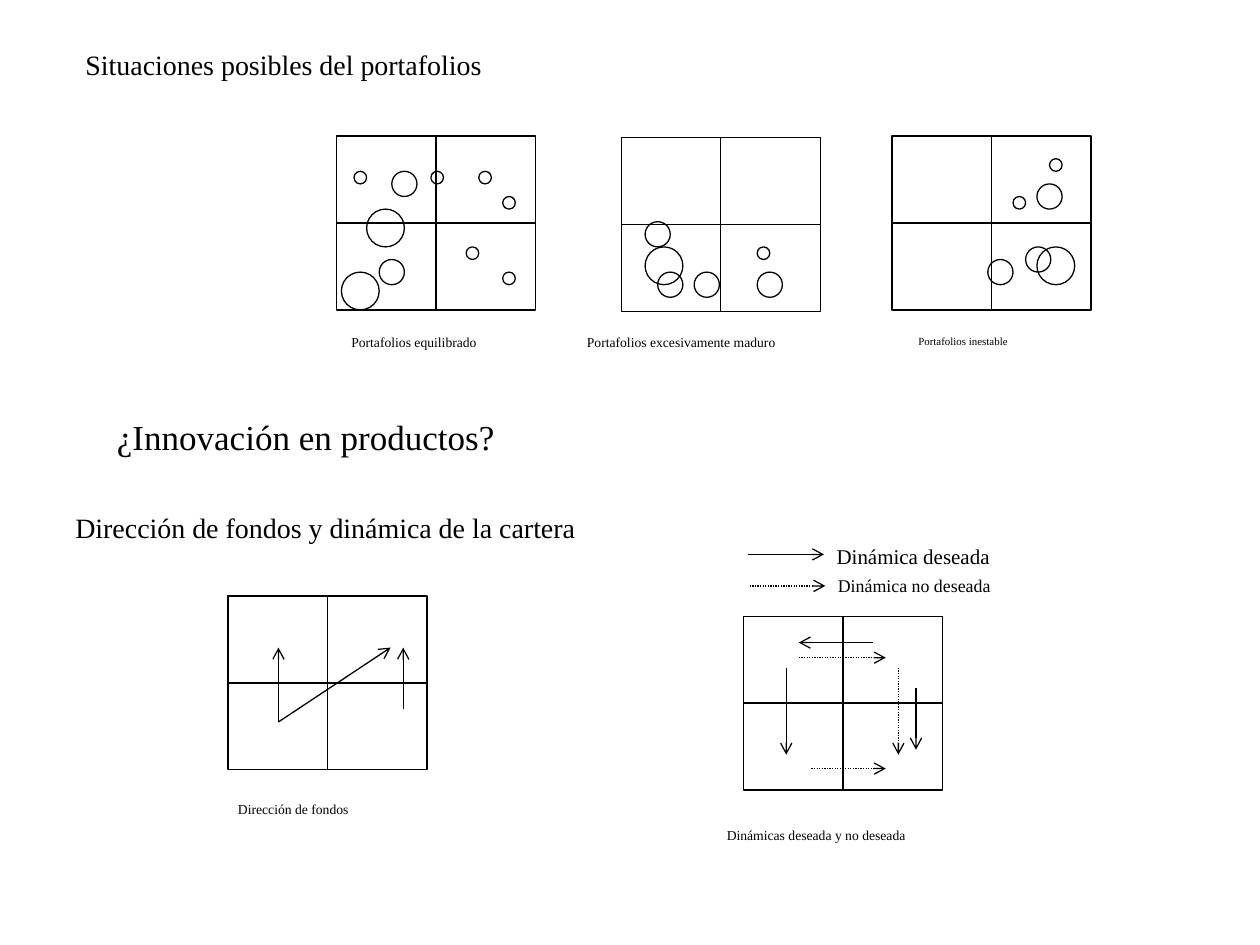
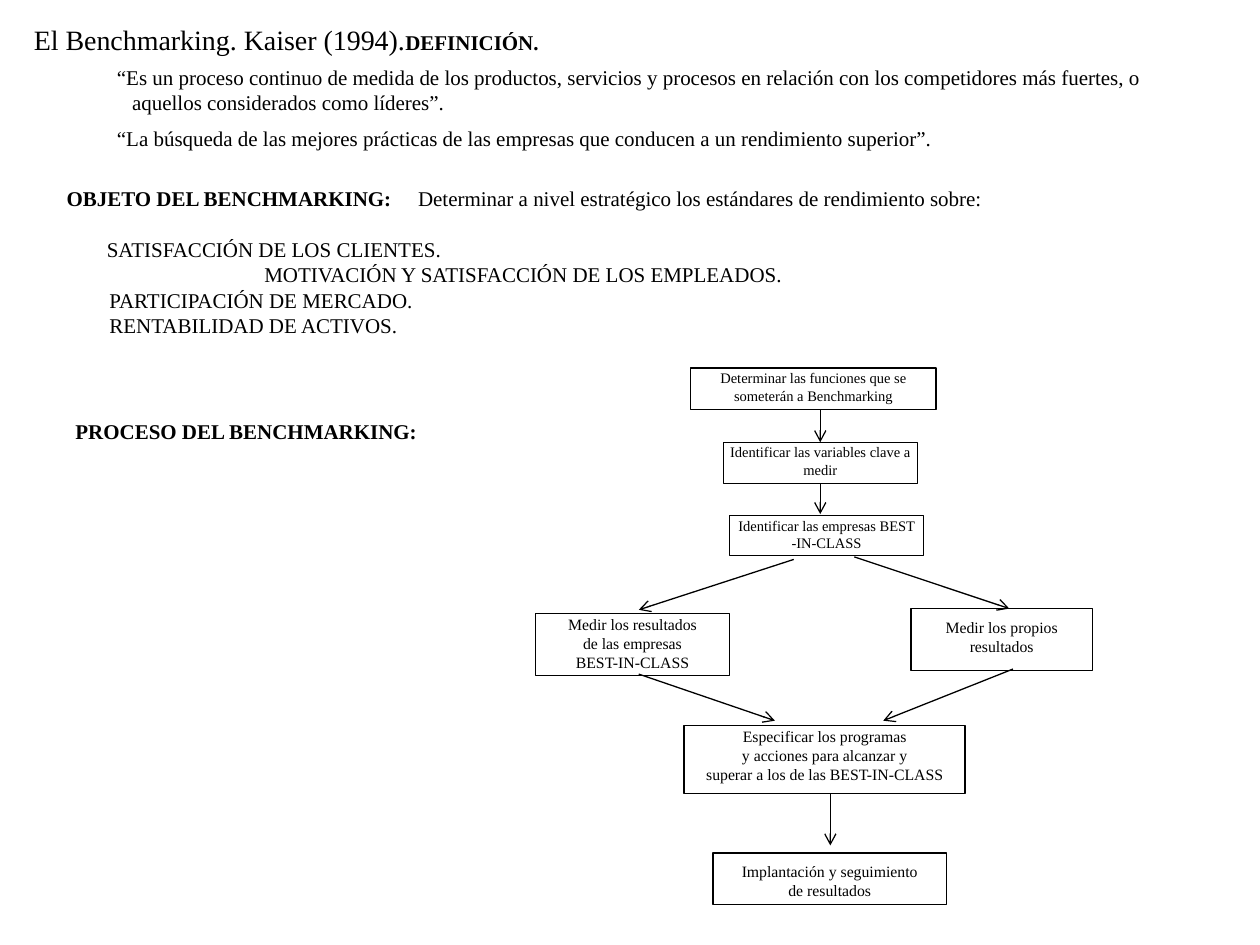
from dataclasses import dataclass
from typing import Optional

from lxml.etree import SubElement
from pptx import Presentation
from pptx.dml.color import RGBColor
from pptx.enum.dml import MSO_LINE
from pptx.enum.shapes import MSO_CONNECTOR, MSO_SHAPE
from pptx.enum.text import MSO_ANCHOR, PP_ALIGN
from pptx.oxml.ns import qn
from pptx.util import Inches, Pt

COLORS = {"ink": "000000", "paper": "FFFFFF"}
FONT = "Times New Roman"
LINE_WIDTH = Pt(0.75)
MATRIX_WIDTH, MATRIX_HEIGHT = 1.58, 1.38
TOP, LEFT, BOTTOM, RIGHT = range(4)
TITLE_SIZE, BODY_SIZE, CAPTION_SIZE = 16, 12, 7.8


@dataclass
class Run:
    text: str
    size: float = BODY_SIZE
    bold: bool = False


@dataclass
class Line:
    runs: list[Run]
    margin: float = 0
    space_before: float = 0
    spacing: Optional[float] = None
    tab: Optional[float] = None


@dataclass
class Label:
    left: float
    top: float
    width: float
    height: float
    lines: list[Line]
    inset_x: float = 0.1
    inset_y: float = 0.05


@dataclass
class Bubble:
    left: float
    top: float
    size: float


@dataclass
class Arrow:
    start: tuple[float, float]
    end: tuple[float, float]
    dotted: bool = False


@dataclass
class Matrix:
    left: float
    top: float
    bubbles: list[Bubble]
    arrows: list[Arrow]


@dataclass
class Step:
    left: float
    top: float
    width: float
    height: float
    texts: list[str]
    size: float = 9
    inset_top: float = 0.01


def color(name: str) -> RGBColor:
    return RGBColor.from_string(COLORS[name])


def simple(text: str, size: float = BODY_SIZE, bold: bool = False, **layout) -> Line:
    return Line([Run(text, size, bold)], **layout)


def caption(left: float, top: float, width: float, text: str, size: float = CAPTION_SIZE) -> Label:
    return Label(left, top, width, 0.3, [simple(text, size, spacing=0.8)])


def legend(left: float, top: float, text: str, size: float) -> Label:
    return Label(left, top, 2.2, 0.25, [simple(text, size)], 0.01, 0.01)


def write_lines(text_frame, lines: list[Line], align=PP_ALIGN.LEFT) -> None:
    text_frame.word_wrap = True
    text_frame.vertical_anchor = MSO_ANCHOR.TOP
    for index, line in enumerate(lines):
        paragraph = text_frame.add_paragraph() if index else text_frame.paragraphs[0]
        paragraph.alignment = align
        if line.spacing:
            paragraph.line_spacing = line.spacing
        if line.space_before:
            paragraph.space_before = Pt(line.space_before)
        properties = paragraph._p.get_or_add_pPr()
        if line.margin:
            properties.set("marL", str(Inches(line.margin)))
        if line.tab:
            tabs = SubElement(properties, qn("a:tabLst"))
            SubElement(tabs, qn("a:tab"), pos=str(Inches(line.tab)), algn="l")
        for item in line.runs:
            run = paragraph.add_run()
            run.text = item.text
            run.font.name = FONT
            run.font.size = Pt(item.size)
            run.font.bold = item.bold
            run.font.color.rgb = color("ink")


def set_insets(text_frame, horizontal: float, top: float, bottom: float) -> None:
    text_frame.margin_left = text_frame.margin_right = Inches(horizontal)
    text_frame.margin_top, text_frame.margin_bottom = Inches(top), Inches(bottom)


def draw_label(slide, label: Label) -> None:
    box = slide.shapes.add_textbox(
        Inches(label.left), Inches(label.top), Inches(label.width), Inches(label.height))
    set_insets(box.text_frame, label.inset_x, label.inset_y, label.inset_y)
    write_lines(box.text_frame, label.lines)


def draw_outline(slide, kind, left: float, top: float, width: float, height: float):
    shape = slide.shapes.add_shape(
        kind, Inches(left), Inches(top), Inches(width), Inches(height))
    shape.shadow.inherit = False
    shape.fill.background()
    shape.line.color.rgb = color("ink")
    shape.line.width = LINE_WIDTH
    return shape


def draw_line(slide, start: tuple[float, float], end: tuple[float, float],
              arrow: bool = False, dotted: bool = False):
    connector = slide.shapes.add_connector(
        MSO_CONNECTOR.STRAIGHT, *(Inches(value) for value in (*start, *end)))
    connector.line.color.rgb = color("ink")
    connector.line.width = LINE_WIDTH
    if dotted:
        connector.line.dash_style = MSO_LINE.ROUND_DOT
    if arrow:
        SubElement(connector.line._get_or_add_ln(), qn("a:tailEnd"), type="arrow")
    SubElement(connector._element.spPr, qn("a:effectLst"))
    return connector


def draw_arrow(slide, arrow: Arrow):
    return draw_line(slide, arrow.start, arrow.end, True, arrow.dotted)


def draw_matrix(slide, matrix: Matrix) -> None:
    left, top = matrix.left, matrix.top
    right, bottom = left + MATRIX_WIDTH, top + MATRIX_HEIGHT
    center, middle = (left + right) / 2, (top + bottom) / 2
    frame = draw_outline(slide, MSO_SHAPE.RECTANGLE, left, top, MATRIX_WIDTH, MATRIX_HEIGHT)
    for start, end, first, last in (
        ((left, middle), (right, middle), LEFT, RIGHT),
        ((center, top), (center, bottom), TOP, BOTTOM),
    ):
        divider = draw_line(slide, start, end)
        divider.begin_connect(frame, first)
        divider.end_connect(frame, last)
    for bubble in matrix.bubbles:
        draw_outline(slide, MSO_SHAPE.OVAL, bubble.left, bubble.top, bubble.size, bubble.size)
    for arrow in matrix.arrows:
        draw_arrow(slide, arrow)


def draw_step(slide, step: Step):
    box = draw_outline(slide, MSO_SHAPE.RECTANGLE, step.left, step.top, step.width, step.height)
    set_insets(box.text_frame, 0.01, step.inset_top, 0.01)
    write_lines(box.text_frame, [simple(text, step.size) for text in step.texts], PP_ALIGN.CENTER)
    return box


MATRICES = [
    Matrix(2.67, 1.08, [
        Bubble(3.01, 2.06, 0.2), Bubble(2.91, 1.66, 0.3), Bubble(2.71, 2.16, 0.3),
        Bubble(3.11, 1.36, 0.2), Bubble(3.8, 1.36, 0.1), Bubble(3.99, 1.56, 0.1),
        Bubble(3.42, 1.36, 0.1), Bubble(3.99, 2.16, 0.1), Bubble(3.7, 1.96, 0.1),
        Bubble(2.81, 1.36, 0.1)], []),
    Matrix(4.93, 1.09, [
        Bubble(5.22, 2.16, 0.2), Bubble(5.12, 1.96, 0.3), Bubble(5.51, 2.16, 0.2),
        Bubble(5.12, 1.76, 0.2), Bubble(6.01, 2.16, 0.2), Bubble(6.01, 1.96, 0.1)], []),
    Matrix(7.08, 1.08, [
        Bubble(8.14, 1.96, 0.2), Bubble(7.84, 2.06, 0.2), Bubble(8.23, 1.96, 0.3),
        Bubble(8.23, 1.46, 0.2), Bubble(8.04, 1.56, 0.1), Bubble(8.33, 1.26, 0.1)], []),
    Matrix(1.81, 4.73, [], [
        Arrow((2.21, 5.73), (2.21, 5.14)),
        Arrow((2.21, 5.73), (3.1, 5.14)),
        Arrow((3.2, 5.63), (3.2, 5.14))]),
    Matrix(5.9, 4.89, [], [
        Arrow((6.24, 5.3), (6.24, 5.99)),
        Arrow((6.93, 5.1), (6.34, 5.1)),
        Arrow((7.27, 5.46), (7.27, 5.95)),
        Arrow((6.34, 5.22), (7.03, 5.22), True),
        Arrow((7.13, 5.3), (7.13, 5.99), True),
        Arrow((6.44, 6.1), (7.03, 6.1), True)]),
]

LEGEND_ARROWS = [
    Arrow((5.94, 4.4), (6.54, 4.4)),
    Arrow((5.95, 4.65), (6.55, 4.65), True),
]

PORTFOLIO_LABELS = [
    Label(0.58, 0.33, 3.67, 0.37, [simple("Situaciones posibles del portafolios", TITLE_SIZE)]),
    caption(2.69, 2.63, 1.5, "Portafolios equilibrado"),
    caption(4.56, 2.63, 2.27, "Portafolios excesivamente maduro"),
    caption(7.19, 2.63, 1.37, "Portafolios inestable", 6.2),
    Label(0.83, 3.25, 3.4, 0.44, [simple("¿Innovación en productos?", 20)]),
    Label(0.5, 4, 4.5, 0.37, [simple("Dirección de fondos y dinámica de la cartera", TITLE_SIZE)]),
    caption(1.79, 6.33, 1.62, "Dirección de fondos"),
    legend(6.63, 4.3, "Dinámica deseada", BODY_SIZE),
    legend(6.64, 4.55, "Dinámica no deseada", 10.2),
    caption(5.67, 6.54, 2.13, "Dinámicas deseada y no deseada"),
]

BENCHMARKING_LABELS = [
    Label(0.17, 0.13, 4.8, 0.37, [Line([
        Run("El Benchmarking. Kaiser (1994).", TITLE_SIZE),
        Run("DEFINICIÓN.", bold=True)])]),
    Label(0.33, 0.46, 9.58, 0.79, [
        simple("“Es un proceso continuo de medida de los productos, servicios y procesos "
               "en relación con los competidores más fuertes, o", margin=0.5),
        simple("aquellos considerados como líderes”.", margin=0.62),
        simple("“La búsqueda de las mejores prácticas de las empresas que conducen "
               "a un rendimiento superior”.", margin=0.5, space_before=6)]),
    Label(0.43, 1.42, 7.7, 0.3, [Line([
        Run("OBJETO DEL BENCHMARKING:", bold=True),
        Run("\tDeterminar a nivel estratégico los estándares de rendimiento sobre:")], tab=2.79)]),
    Label(0.5, 1.83, 7.5, 0.91, [
        simple("SATISFACCIÓN DE LOS CLIENTES.", margin=0.25),
        simple("MOTIVACIÓN Y SATISFACCIÓN DE LOS EMPLEADOS.", margin=1.5),
        simple("PARTICIPACIÓN DE MERCADO.", margin=0.27),
        simple("RENTABILIDAD DE ACTIVOS.", margin=0.27)]),
    Label(0.5, 3.27, 3.08, 0.32, [simple("PROCESO DEL BENCHMARKING:", bold=True)]),
]

STEPS = {
    "functions": Step(5.48, 2.92, 1.95, 0.33,
                      ["Determinar las funciones que se someterán a Benchmarking"], 8.3),
    "variables": Step(5.74, 3.51, 1.54, 0.33, ["Identificar las variables clave a medir"], 8.3),
    "companies": Step(5.79, 4.09, 1.54, 0.32, ["Identificar las empresas BEST -IN-CLASS"], 8.3),
    "best results": Step(4.25, 4.87, 1.54, 0.49,
                         ["Medir los resultados", "de las empresas", "BEST-IN-CLASS"]),
    "own results": Step(7.23, 4.83, 1.44, 0.49, ["Medir los propios", "resultados"],
                        inset_top=0.07),
    "programs": Step(5.43, 5.76, 2.23, 0.54,
                     ["Especificar los programas", "y acciones para alcanzar y",
                      "superar a los de las BEST-IN-CLASS"]),
    "follow-up": Step(5.66, 6.77, 1.85, 0.41, ["Implantación y seguimiento", "de resultados"],
                      inset_top=0.07),
}

BRANCH_ARROWS = [
    Arrow((6.3, 4.44), (5.07, 4.84)),
    Arrow((6.78, 4.42), (8.01, 4.83)),
    Arrow((8.04, 5.31), (7.01, 5.72)),
    Arrow((5.07, 5.35), (6.15, 5.72)),
    Arrow((6.59, 6.3), (6.59, 6.71)),
]


def add_slide(presentation, labels: list[Label]):
    slide = presentation.slides.add_slide(presentation.slide_layouts[6])
    slide.background.fill.solid()
    slide.background.fill.fore_color.rgb = color("paper")
    for label in labels:
        draw_label(slide, label)
    return slide


def build_portfolio_slide(presentation) -> None:
    slide = add_slide(presentation, PORTFOLIO_LABELS)
    for matrix in MATRICES:
        draw_matrix(slide, matrix)
    for arrow in LEGEND_ARROWS:
        draw_arrow(slide, arrow)


def build_benchmarking_slide(presentation) -> None:
    slide = add_slide(presentation, BENCHMARKING_LABELS)
    boxes = {name: draw_step(slide, step) for name, step in STEPS.items()}
    into_variables = draw_arrow(slide, Arrow((6.51, 3.25), (6.51, 3.51)))
    into_variables.end_connect(boxes["variables"], TOP)
    from_variables = draw_arrow(slide, Arrow((6.51, 3.84), (6.51, 4.08)))
    from_variables.begin_connect(boxes["variables"], BOTTOM)
    for arrow in BRANCH_ARROWS:
        draw_arrow(slide, arrow)


def main() -> None:
    presentation = Presentation()
    presentation.slide_width, presentation.slide_height = Inches(10), Inches(7.5)
    build_portfolio_slide(presentation)
    build_benchmarking_slide(presentation)
    presentation.save("out.pptx")


if __name__ == "__main__":
    main()
